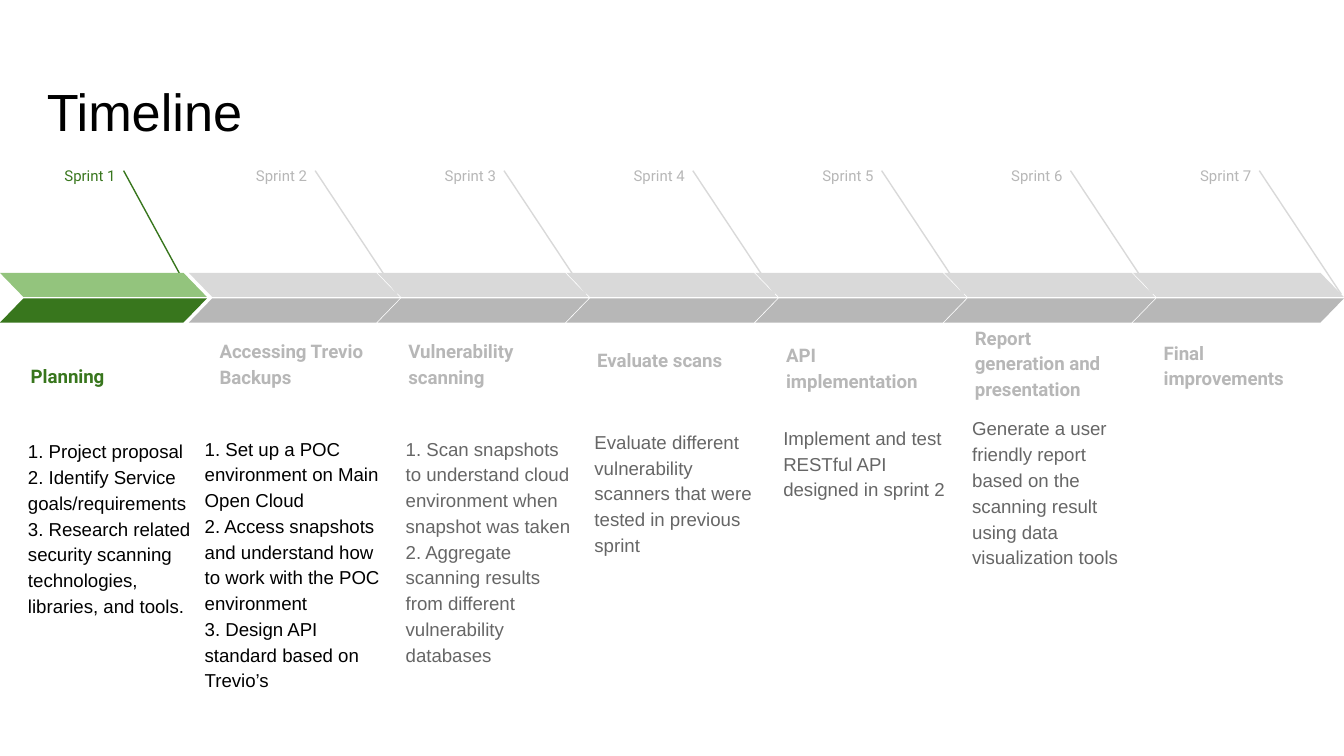
from pptx import Presentation
from pptx.dml.color import RGBColor
from pptx.enum.shapes import MSO_CONNECTOR, MSO_SHAPE
from pptx.enum.text import MSO_ANCHOR, PP_ALIGN
from pptx.oxml.ns import qn
from pptx.util import Inches, Pt

COLORS = {
    "black": "000000", "body": "666666",
    "active dark": "38761D", "active light": "93C47D",
    "idle dark": "B7B7B7", "idle light": "D9D9D9",
}

deck = Presentation()
deck.slide_width = Inches(10)
deck.slide_height = deck.slide_width * 9 // 16
page = deck.slides.add_slide(deck.slide_layouts[6])


def add_text(left, top, width, height, lines, size, font, color,
             bold=False, anchor=MSO_ANCHOR.TOP, align=PP_ALIGN.LEFT, spacing=1.15):
    box = page.shapes.add_textbox(Inches(left), Inches(top), Inches(width), Inches(height))
    frame = box.text_frame
    frame.word_wrap = True
    frame.vertical_anchor = anchor
    frame.margin_left = frame.margin_right = Inches(0.1)
    frame.margin_top = frame.margin_bottom = Inches(0.1)
    frame.text = "\n".join(lines)
    for para in frame.paragraphs:
        para.alignment = align
        para.line_spacing = spacing
        for span in para.runs:
            span.font.size = Pt(size)
            span.font.name = font
            span.font.bold = bold
            span.font.color.rgb = RGBColor.from_string(COLORS[color])


# Title
add_text(0.25, 0.49, 9.46, 0.63, ["Timeline"], 28, "Arial", "black", spacing=1)

# Sprints: heading, heading top and height, body offset, top, width, color and lines
sprints = [
    ("Planning", 2.68, 0.3, 0.11, 3.15, 1.42, "black", [
        "1. Project proposal",
        "2. Identify Service goals/requirements",
        "3. Research related security scanning technologies, libraries, and tools."]),
    ("Accessing Trevio Backups", 2.6, 0.39, 0.02, 3.13, 1.54, "black", [
        "1. Set up a POC environment on Main Open Cloud",
        "2. Access snapshots and understand how to work with the POC environment",
        "3. Design API standard based on Trevio’s"]),
    ("Vulnerability scanning", 2.6, 0.39, 0.11, 3.13, 1.45, "body", [
        "1. Scan snapshots to understand cloud environment when snapshot was taken",
        "2. Aggregate scanning results from different vulnerability databases"]),
    ("Evaluate scans", 2.6, 0.26, 0.11, 3.08, 1.44, "body", [
        "Evaluate different vulnerability scanners that were tested in previous sprint"]),
    ("API implementation", 2.6, 0.42, 0.11, 3.05, 1.44, "body", [
        "Implement and test RESTful API designed in sprint 2"]),
    ("Report generation and presentation", 2.52, 0.56, 0.11, 2.98, 1.45, "body", [
        "Generate a user friendly report based on the scanning result "
        "using data visualization tools"]),
    ("Final improvements", 2.6, 0.4, 0.11, 3.05, 1.44, "body", []),
]

arrow_width, arrow_height = 1.57, 0.18
column = (10 - arrow_width) / (len(sprints) - 1)
body_bottom = 5.6

for index, (heading, head_top, head_height, offset, body_top, body_width,
            body_color, lines) in enumerate(sprints):
    left = index * column
    active = index == 0
    state = "active" if active else "idle"

    # Sprint label, heading and tasks
    label_offset = 0.22 if active else 0.24
    add_text(left + label_offset, 1.14, 0.74, 0.3, [f"Sprint {index + 1}"], 8, "Roboto",
             f"{state} dark", align=PP_ALIGN.RIGHT)
    add_text(left + 0.13, head_top, 1.29, head_height, [heading], 10, "Roboto",
             f"{state} dark", bold=True, anchor=MSO_ANCHOR.BOTTOM)
    if lines:
        add_text(left + offset, body_top, body_width, body_bottom - body_top,
                 lines, 10, "Arial", body_color)

    # Slanted leader from the label to the arrow
    start, end = (0.92, 1.42) if active else (0.94, 1.55)
    leader = page.shapes.add_connector(
        MSO_CONNECTOR.STRAIGHT, Inches(left + start), Inches(1.27),
        Inches(left + end), Inches(2.19))
    leader.line.width = Pt(0.75)
    leader.line.color.rgb = RGBColor.from_string(
        COLORS["active dark" if active else "idle light"])
    properties = leader._element.spPr
    properties.append(properties.makeelement(qn("a:effectLst"), {}))

    # Arrow made of two mirrored halves
    width = 1.54 if active else arrow_width
    for top, shade in ((2.03, "light"), (2.22, "dark")):
        half = page.shapes.add_shape(
            MSO_SHAPE.PARALLELOGRAM, Inches(left), Inches(top),
            Inches(width), Inches(arrow_height))
        half.adjustments[0] = 0.97
        half.shadow.inherit = False
        half.fill.solid()
        half.fill.fore_color.rgb = RGBColor.from_string(COLORS[f"{state} {shade}"])
        half.line.fill.background()
        if shade == "light":
            half._element.spPr.find(qn("a:xfrm")).set("flipH", "1")

deck.save("out.pptx")
